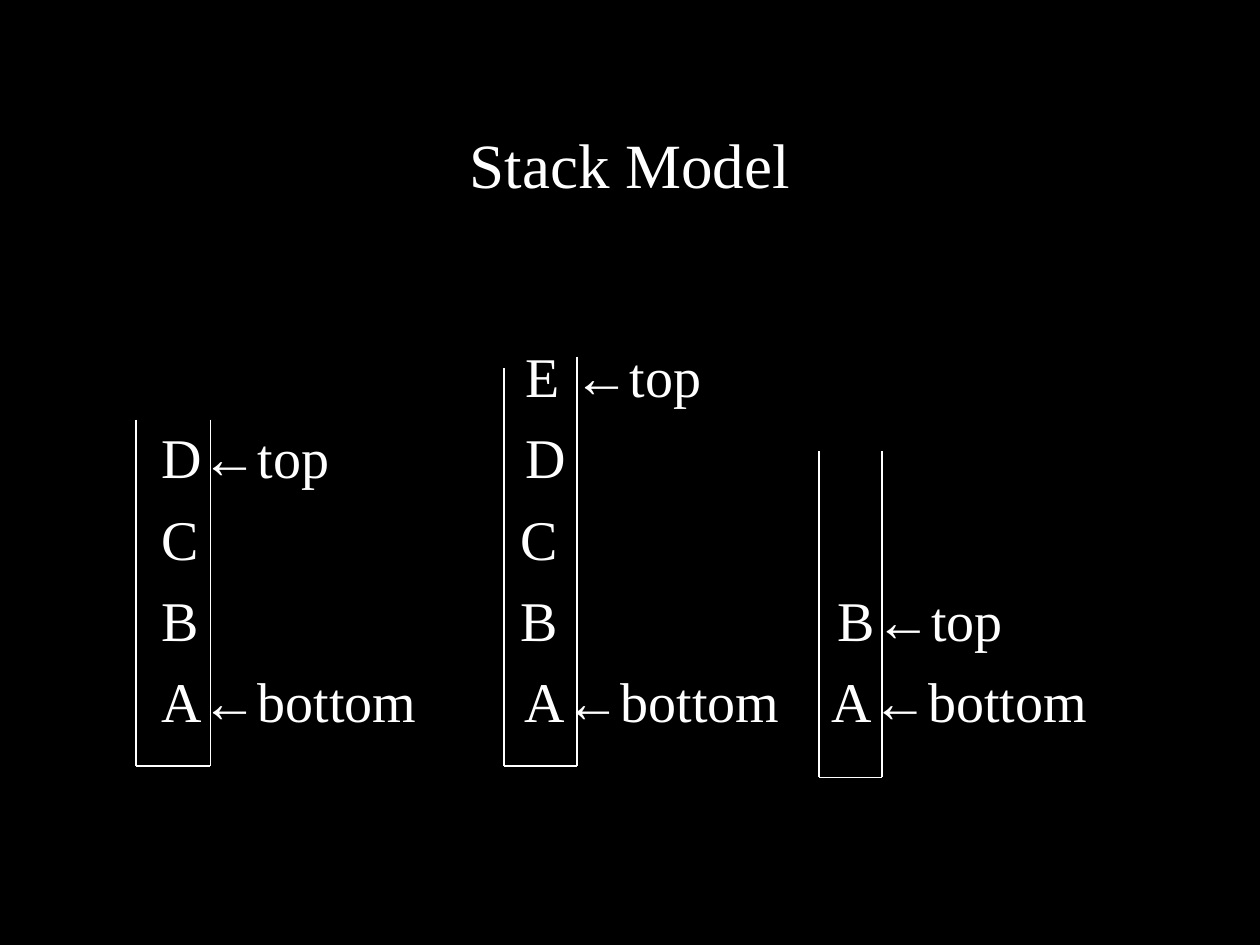
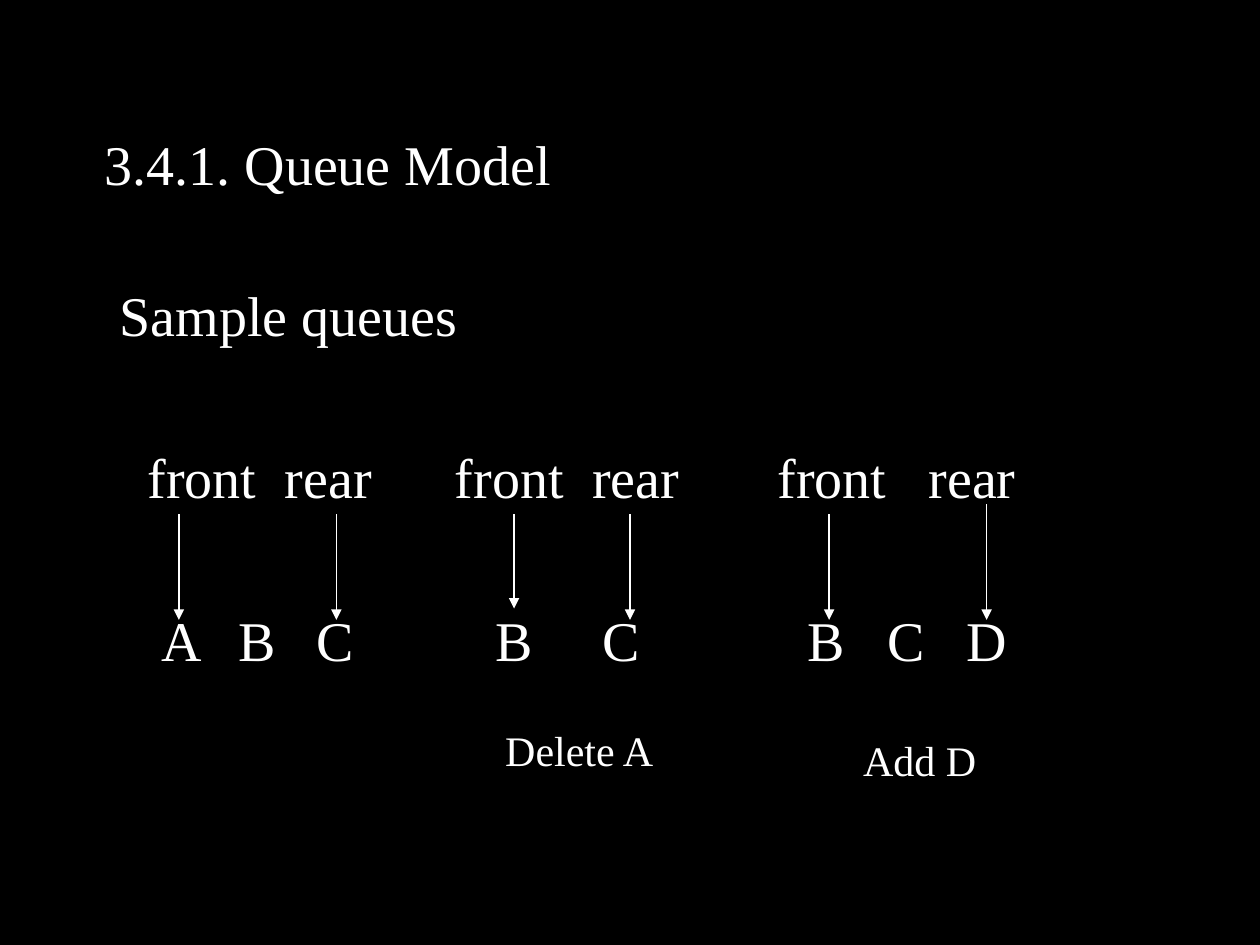
import itertools
import pptx
import pptx.dml.color
import pptx.enum.shapes
import pptx.enum.text
import pptx.oxml
import pptx.oxml.ns
import pptx.util
from pptx.util import Inches

WHITE = "FFFFFF"
BLACK = "000000"
SERIF = "Times New Roman"
ARROW_FONT = "Arial"
BODY_LEFT = 0.75


def write(para, text, size, tab_stops=()):
    for is_arrow, letters in itertools.groupby(text, lambda letter: letter == "←"):
        span = para.add_run()
        span.text = "".join(letters)
        span.font.size = pptx.util.Pt(size)
        span.font.name = ARROW_FONT if is_arrow else SERIF
        span.font.color.rgb = pptx.dml.color.RGBColor.from_string(WHITE)
    if tab_stops:
        properties = para._p.get_or_add_pPr()
        tab_list = pptx.oxml.parse_xml(
            f'<a:tabLst {pptx.oxml.ns.nsdecls("a")}>'
            + "".join(f'<a:tab pos="{Inches(stop - BODY_LEFT)}" algn="l"/>' for stop in tab_stops)
            + "</a:tabLst>")
        properties.append(tab_list)


def draw_line(page, start_x, start_y, end_x, end_y, arrow=False):
    line = page.shapes.add_connector(
        pptx.enum.shapes.MSO_CONNECTOR.STRAIGHT,
        Inches(start_x), Inches(start_y), Inches(end_x), Inches(end_y))
    line.line.color.rgb = pptx.dml.color.RGBColor.from_string(WHITE)
    line.line.width = pptx.util.Pt(0.75)
    if arrow:
        line.line._get_or_add_ln().append(pptx.oxml.parse_xml(
            f'<a:tailEnd {pptx.oxml.ns.nsdecls("a")} type="triangle"/>'))
    line._element.spPr.append(pptx.oxml.parse_xml(
        f'<a:effectLst {pptx.oxml.ns.nsdecls("a")}/>'))


deck = pptx.Presentation()
deck.slide_width = Inches(10)
deck.slide_height = Inches(7.5)
background = deck.slide_master.background.fill
background.solid()
background.fore_color.rgb = pptx.dml.color.RGBColor.from_string(BLACK)

stack_rows = [
    [(4.17, "E ←top")],
    [(1.28, "D←top"), (4.17, "D")],
    [(1.28, "C"), (4.13, "C")],
    [(1.28, "B"), (4.13, "B"), (6.65, "B←top")],
    [(1.28, "A←bottom"), (4.16, "A←bottom"), (6.6, "A←bottom")],
]
queue_rows = [
    [(0.95, "Sample queues")],
    [(1.17, "front"), (2.26, "rear"), (3.61, "front"), (4.7, "rear"), (6.17, "front"), (7.37, "rear")],
    [(1.28, "A"), (1.89, "B"), (2.51, "C"), (3.93, "B"), (4.78, "C"),
     (6.41, "B"), (7.04, "C"), (7.67, "D")],
]
align = pptx.enum.text.PP_ALIGN
contents = [
    ("Stack Model", 36, align.CENTER, 2, 0.73, 9.5, stack_rows),
    ("3.4.1. Queue Model", 32, align.LEFT, 2.17, 0.08, 55.6, queue_rows),
]
pages = []
for title, title_size, title_align, body_top, body_margin, row_gap, rows in contents:
    page = deck.slides.add_slide(deck.slide_layouts[5])
    pages.append(page)
    box = page.shapes.title
    box.left, box.top, box.width, box.height = map(Inches, (BODY_LEFT, 0.67, 8.5, 1.25))
    frame = box.text_frame
    frame.margin_left = frame.margin_right = Inches(0.08)
    frame.vertical_anchor = pptx.enum.text.MSO_ANCHOR.MIDDLE
    frame.paragraphs[0].alignment = title_align
    write(frame.paragraphs[0], title, title_size)

    box = page.shapes.add_textbox(Inches(BODY_LEFT), Inches(body_top), Inches(8.5), Inches(4.5))
    frame = box.text_frame
    frame.word_wrap = True
    frame.margin_left = frame.margin_right = frame.margin_bottom = 0
    frame.margin_top = Inches(body_margin)
    for number, row in enumerate(rows):
        para = frame.add_paragraph() if number else frame.paragraphs[0]
        para.line_spacing = pptx.util.Pt(37)
        para.space_before = pptx.util.Pt(row_gap if number else 0)
        write(para, "".join("\t" + text for stop, text in row), 32, [stop for stop, text in row])

stack_page, queue_page = pages

stacks = [(1.08, 1.67, 3.33, 3.33, 6.08), (4, 4.58, 2.92, 2.83, 6.08), (6.5, 7, 3.58, 3.58, 6.17)]
for left, right, left_top, right_top, bottom in stacks:
    draw_line(stack_page, left, left_top, left, bottom)
    draw_line(stack_page, right, right_top, right, bottom)
    draw_line(stack_page, left, bottom, right, bottom)

pointers = [(1.42, 4.08, 4.92), (2.67, 4.08, 4.92), (4.08, 4.08, 4.83),
            (5, 4.08, 4.92), (6.58, 4.08, 4.92), (7.83, 4, 4.92)]
for x, top, bottom in pointers:
    draw_line(queue_page, x, top, x, bottom, arrow=True)

operations = [("Delete A", 3.75, 5.67, 1.83, 0.26), ("Add D", 6.5, 5.75, 1.75, 0.35)]
for text, left, top, width, margin in operations:
    box = queue_page.shapes.add_textbox(Inches(left), Inches(top), Inches(width), Inches(0.5))
    frame = box.text_frame
    frame.word_wrap = True
    frame.margin_left = Inches(margin)
    frame.margin_top = Inches(0.08)
    write(frame.paragraphs[0], text, 24)

deck.save("out.pptx")
